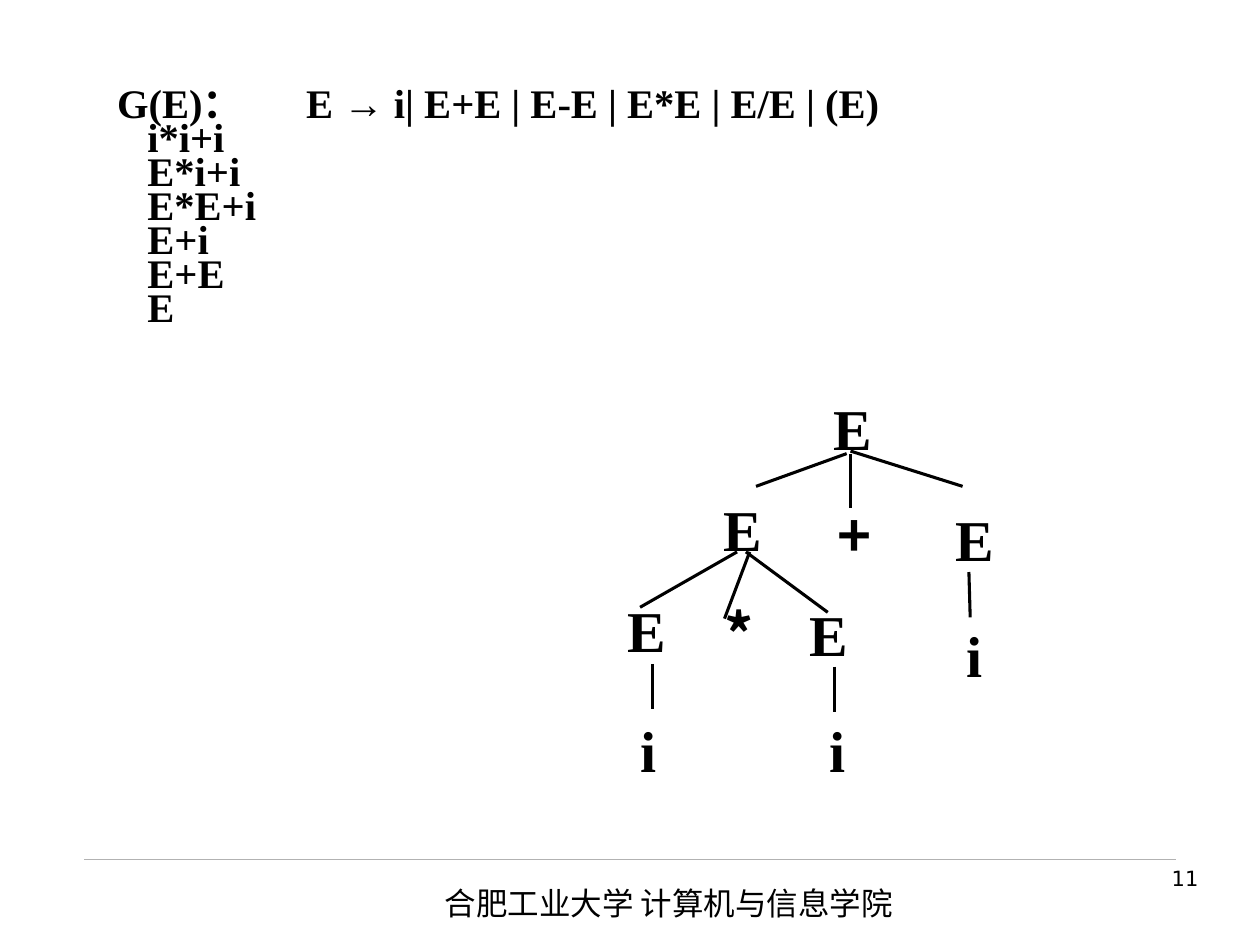
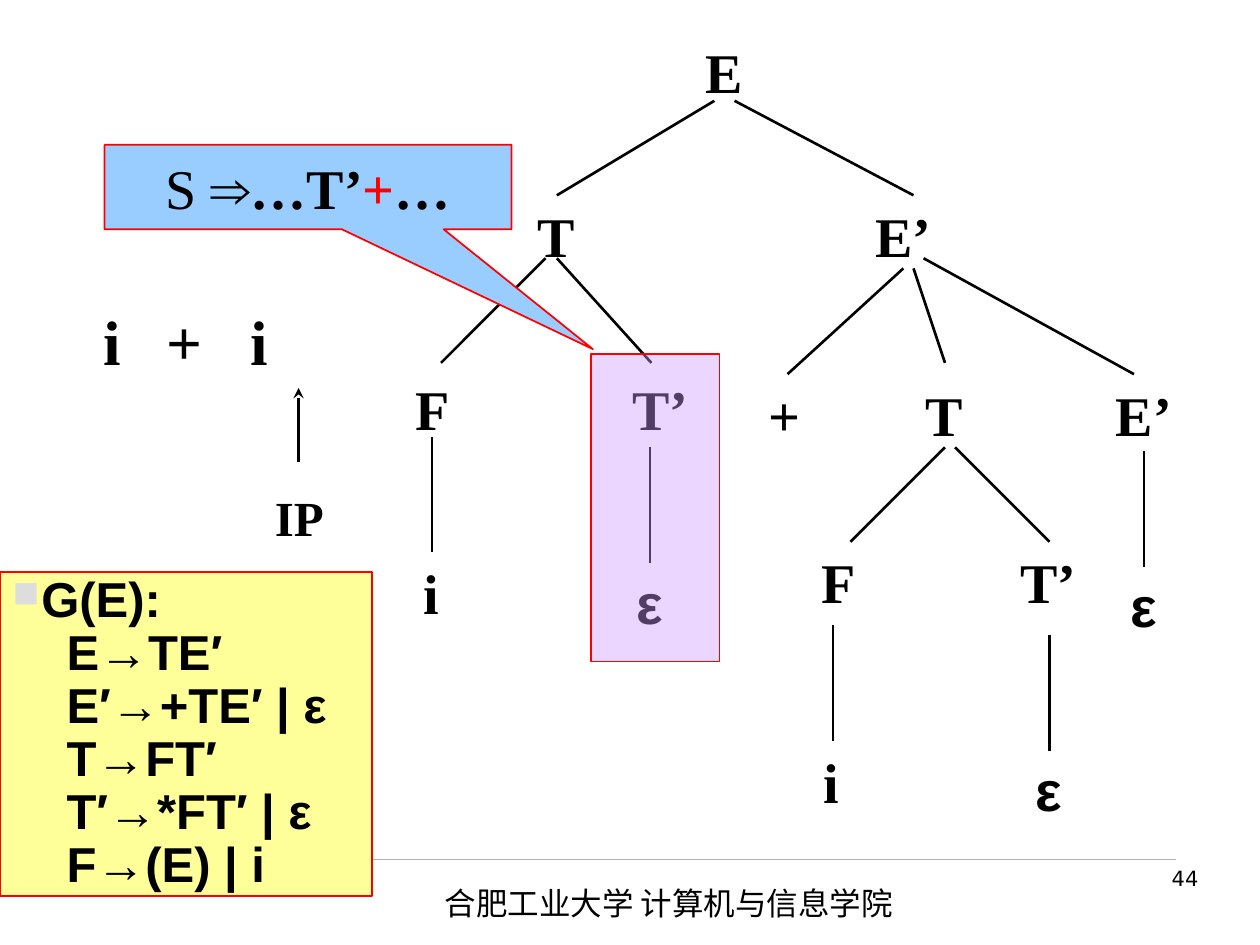
"""Build two slides on parsing: a bottom-up derivation and an LL(1) parse tree."""
from lxml.etree import SubElement
from pptx import Presentation
from pptx.dml.color import RGBColor
from pptx.enum.shapes import MSO_CONNECTOR as CONN, MSO_SHAPE as SHAPE
from pptx.enum.text import MSO_ANCHOR as ANCHOR, MSO_AUTO_SIZE as AUTO, PP_ALIGN as ALIGN
from pptx.oxml.ns import qn
from pptx.util import Emu, Inches, Pt

SERIF, SANS, CJK, UI = "Times New Roman", "Arial", "Noto Sans CJK SC", "DejaVu Sans"
BLACK, RED, GREY = "000000", "FF0000", "B2B2B2"
YELLOW, VIOLET, BLUE, BULLET = "FFFF99", "CC99FF", "99CCFF", "DDDDDD"
INSETS, NO_INSETS = (0.1, 0.05), (0, 0)
FOOTER = "合肥工业大学 计算机与信息学院"

GRAMMAR = [("G(E)：\tE ", SERIF), ("→", SANS), (" i| E+E | E-E | E*E | E/E | (E)", SERIF)]
REDUCTIONS = ["i*i+i", "E*i+i", "E*E+i", "E+i", "E+E", "E"]

SUM_TREE = {
    "size": 33, "height": 0.55, "insets": NO_INSETS, "line": 1.76,
    "widths": {"E": 0.31, "i": 0.13, "+": 0.28, "*": 0.25},
    "fonts": {"+": CJK, "*": CJK},
    "nodes": [
        ("E", 6.61, 3.12),
        ("E", 5.74, 3.92), ("+", 6.64, 3.97), ("E", 7.58, 4),
        ("E", 4.98, 4.72), ("*", 5.74, 4.75), ("E", 6.42, 4.75), ("i", 7.67, 4.92),
        ("i", 5.08, 5.67), ("i", 6.58, 5.67),
    ],
    "edges": [
        (6.72, 3.6, 6, 3.86), (6.75, 3.6, 6.75, 4.03), (6.75, 3.58, 7.64, 3.86),
        (5.85, 4.38, 5.08, 4.82), (5.95, 4.38, 5.75, 4.91), (5.92, 4.38, 6.57, 4.86),
        (7.69, 4.54, 7.7, 4.9), (5.18, 5.27, 5.18, 5.63), (6.62, 5.29, 6.62, 5.65),
    ],
}

LL_TREE = {
    "size": 32, "height": 0.64, "insets": INSETS, "line": 1.5,
    "widths": {"E": 0.49, "T": 0.49, "F": 0.47, "i": 0.32, "ε": 0.39,
               "+": 0.45, "E’": 0.64, "T’": 0.64},
    "fonts": {"ε": SANS},
    "nodes": [
        ("E", 5.5, 0.25),
        ("T", 4.17, 1.55), ("E’", 6.85, 1.55),
        ("F", 3.2, 2.92), ("T’", 4.92, 2.92),
        ("+", 6, 2.97), ("T", 7.25, 2.97), ("E’", 8.76, 2.97),
        ("i", 3.26, 4.38), ("ε", 4.96, 4.46),
        ("F", 6.42, 4.3), ("T’", 8, 4.3), ("ε", 8.88, 4.49),
        ("i", 6.44, 5.88), ("ε", 8.13, 5.95),
    ],
    "edges": [
        (5.67, 0.8, 4.42, 1.55), (5.83, 0.8, 7.25, 1.55),
        (4.33, 2.05, 3.5, 2.88), (4.42, 2.05, 5.17, 2.88),
        (7.17, 2.13, 6.25, 2.97), (7.25, 2.13, 7.5, 2.88), (7.33, 2.05, 9, 2.97),
        (3.43, 3.47, 3.43, 4.38), (5.16, 3.55, 5.16, 4.47),
        (7.5, 3.55, 6.75, 4.3), (7.58, 3.55, 8.33, 4.3), (9.08, 3.58, 9.08, 4.5),
        (6.61, 4.96, 6.61, 5.88), (8.33, 5.04, 8.33, 5.96),
    ],
}

RULES = ["G(E):", "E→TE′", "E′→+TE′ | ε", "T→FT′", "T′→*FT′ | ε", "F→(E) | i"]
SENTENTIAL_FORM = [("S ", SERIF, BLACK, False), ("⇒", SANS, BLACK, True),
                   ("…T’", SERIF, BLACK, True), ("+", SERIF, RED, True),
                   ("…", SERIF, BLACK, True)]


def rgb(color):
    return RGBColor.from_string(color)


def add_run(p, text, font, size, color=BLACK, bold=True):
    r = p.add_run()
    r.text = text
    r.font.size, r.font.bold = Pt(size), bold
    r.font.color.rgb = rgb(color)
    r.font.name = font
    if font == CJK:
        SubElement(r.font._element, qn("a:ea"), typeface=font)


def set_frame(tf, insets=INSETS, wrap=True, anchor=ANCHOR.TOP):
    tf.margin_left = tf.margin_right = Inches(insets[0])
    tf.margin_top = tf.margin_bottom = Inches(insets[1])
    tf.word_wrap, tf.vertical_anchor, tf.auto_size = wrap, anchor, AUTO.NONE


def set_indent(p, left, first=0):
    pPr = p._p.get_or_add_pPr()
    pPr.set("marL", str(Inches(left)))
    pPr.set("indent", str(Inches(first)))
    return pPr


def add_tabs(p, *stops):
    tabs = SubElement(p._p.get_or_add_pPr(), qn("a:tabLst"))
    for stop in stops:
        SubElement(tabs, qn("a:tab"), pos=str(Inches(stop)), algn="l")


def paragraphs(tf, count):
    return [tf.paragraphs[0]] + [tf.add_paragraph() for _ in range(count - 1)]


def add_text(slide, box, text, font, size, bold=True, align=ALIGN.LEFT,
             insets=INSETS, wrap=True):
    sp = slide.shapes.add_textbox(*map(Inches, box))
    set_frame(sp.text_frame, insets, wrap)
    p = sp.text_frame.paragraphs[0]
    p.alignment = align
    add_run(p, text, font, size, bold=bold)
    return sp.text_frame


def add_line(slide, ends, width, color=BLACK, arrow=False):
    line = slide.shapes.add_connector(CONN.STRAIGHT, *map(Inches, ends))
    line.line.width, line.line.color.rgb = Pt(width), rgb(color)
    if arrow:
        SubElement(line.line._get_or_add_ln(), qn("a:tailEnd"), type="stealth")
    SubElement(line._element.spPr, qn("a:effectLst"))


def add_panel(slide, kind, box, color, alpha=None):
    sp = slide.shapes.add_shape(kind, *map(Inches, box))
    sp.shadow.inherit = False
    sp.fill.solid()
    sp.fill.fore_color.rgb = rgb(color)
    sp.line.color.rgb, sp.line.width = rgb(RED), Pt(1)
    if alpha:
        clr = sp._element.spPr.find(qn("a:solidFill")).find(qn("a:srgbClr"))
        SubElement(clr, qn("a:alpha"), val=str(alpha * 1000))
    set_frame(sp.text_frame, anchor=ANCHOR.MIDDLE)
    return sp


def add_tree(slide, tree):
    for ends in tree["edges"]:
        add_line(slide, ends, tree["line"])
    for text, left, top in tree["nodes"]:
        add_text(slide, (left, top, tree["widths"][text], tree["height"]), text,
                 tree["fonts"].get(text, SERIF), tree["size"], align=ALIGN.CENTER,
                 insets=tree["insets"], wrap=False)


def add_slide(prs, layout, number):
    slide = prs.slides.add_slide(prs.slide_layouts[layout])
    add_line(slide, (0.67, 6.82, 9.33, 6.82), 0.26, GREY)
    tf = add_text(slide, (3.43, 6.97, 4.8, 0.4), FOOTER, CJK, 18, bold=False)
    tf.paragraphs[0].space_before = Pt(11.2)
    add_text(slide, (7.44, 6.82, 2.17, 0.52), number, UI, 12, bold=False, align=ALIGN.RIGHT)
    return slide


def build_derivation(prs):
    slide = add_slide(prs, 1, "11")
    title = slide.shapes.title._element
    title.getparent().remove(title)
    body = slide.placeholders[1]
    body.left, body.top, body.width, body.height = map(Inches, (0.83, 0.67, 8.42, 2.08))
    set_frame(body.text_frame)
    lines = [GRAMMAR] + [[(text, SERIF)] for text in REDUCTIONS]
    for i, (p, runs) in enumerate(zip(paragraphs(body.text_frame, len(lines)), lines)):
        p.line_spacing, p.space_before = 0.7, Pt(0 if i else 7.5)
        SubElement(set_indent(p, 0.24 if i else 0), qn("a:buNone"))
        for text, font in runs:
            add_run(p, text, font, 23.2)
    add_tabs(body.text_frame.paragraphs[0], 1.24)
    add_tree(slide, SUM_TREE)


def build_parse(prs):
    slide = add_slide(prs, 6, "44")
    tf = add_text(slide, (0.5, 2.35, 2.09, 0.7), "i\t+\ti", SERIF, 36)
    tf.margin_left = Inches(0.32)
    add_tabs(tf.paragraphs[0], 0.5, 1.17)
    add_line(slide, (2.37, 3.67, 2.37, 3.08), 1.5, arrow=True)
    add_text(slide, (2.08, 3.82, 0.59, 0.57), "IP", SERIF, 28, align=ALIGN.CENTER, wrap=False)
    add_tree(slide, LL_TREE)

    tf = add_panel(slide, SHAPE.RECTANGLE, (0, 4.54, 2.95, 2.57), YELLOW).text_frame
    for i, (p, text) in enumerate(zip(paragraphs(tf, len(RULES)), RULES)):
        p.alignment, p.line_spacing = ALIGN.LEFT, 0.9
        pPr = set_indent(p, 0.43) if i else set_indent(p, 0.23, -0.23)
        if not i:
            SubElement(SubElement(pPr, qn("a:buClr")), qn("a:srgbClr"), val=BULLET)
            SubElement(pPr, qn("a:buSzPct"), val="75000")
            SubElement(pPr, qn("a:buChar"), char="■")
        add_run(p, text, SANS, 28)

    add_panel(slide, SHAPE.RECTANGLE, (4.69, 2.81, 1.02, 2.44), VIOLET, alpha=40)
    sp = add_panel(slide, SHAPE.RECTANGULAR_CALLOUT, (0.83, 1.15, 3.23, 0.67), BLUE)
    sp.adjustments[0], sp.adjustments[1] = 0.7, 1.92
    p = sp.text_frame.paragraphs[0]
    p.alignment = ALIGN.CENTER
    for text, font, color, bold in SENTENTIAL_FORM:
        add_run(p, text, font, 32, color, bold)


prs = Presentation()
prs.slide_width, prs.slide_height = Emu(Inches(10)), Emu(Inches(7.5))
build_derivation(prs)
build_parse(prs)
prs.save("out.pptx")
